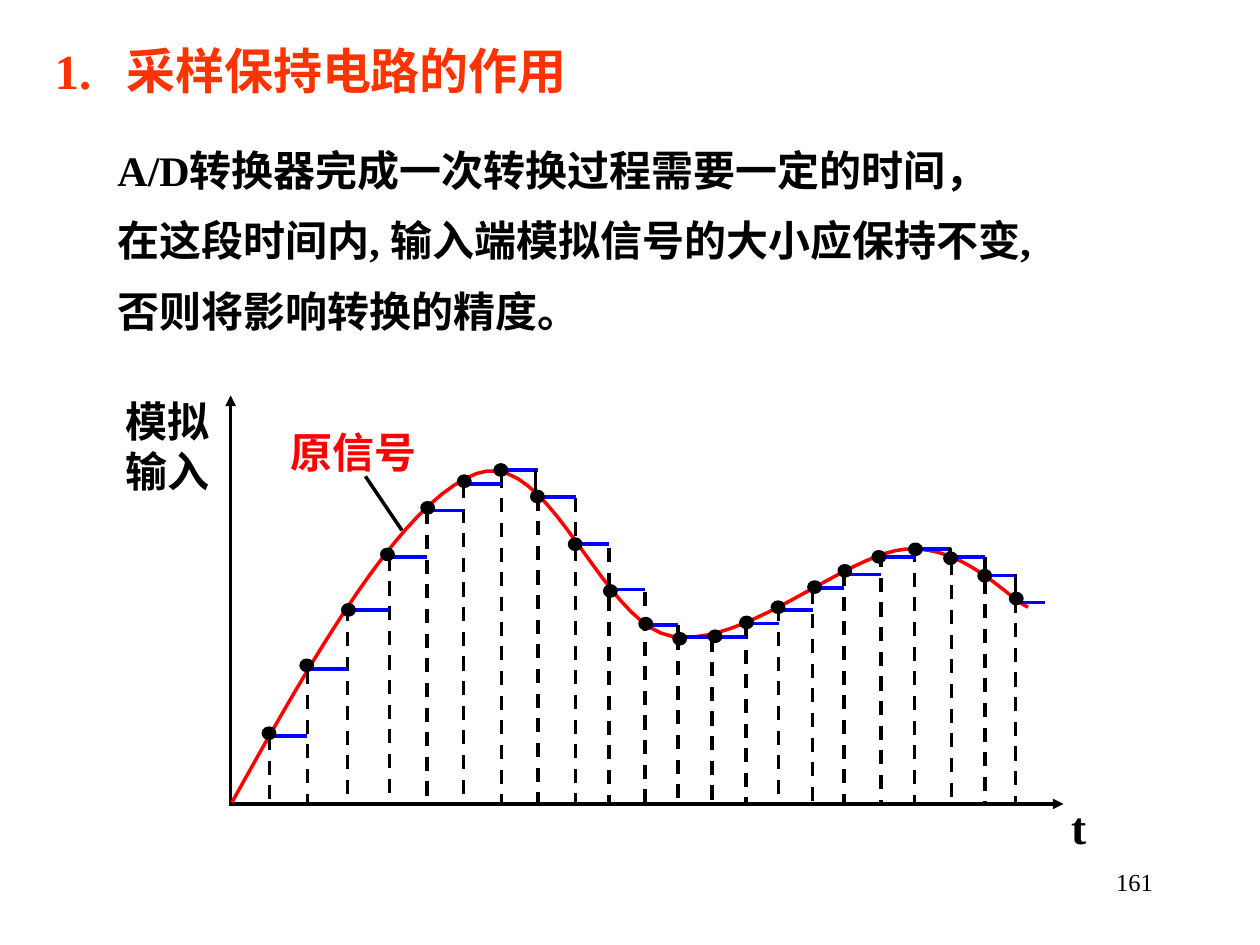
from pptx import Presentation
from pptx.dml.color import RGBColor
from pptx.enum.dml import MSO_LINE
from pptx.enum.shapes import MSO_CONNECTOR, MSO_SHAPE
from pptx.enum.text import MSO_ANCHOR, MSO_AUTO_SIZE, PP_ALIGN
from pptx.oxml.ns import qn
from pptx.util import Pt
from lxml import etree

STRAIGHT = MSO_CONNECTOR.STRAIGHT
ELLIPSE = MSO_SHAPE.OVAL
DASH = MSO_LINE.DASH
LEFT, RIGHT = PP_ALIGN.LEFT, PP_ALIGN.RIGHT
TOP = MSO_ANCHOR.TOP
NO_AUTOFIT = MSO_AUTO_SIZE.NONE

BLACK, RED, BLUE, ORANGE = "000000", "FF0000", "0000FF", "FF3300"

AXIS_X, AXIS_Y = 131.8, 459.4
DOT_WIDTH, DOT_HEIGHT = 6.5, 5.8
LAST_HOLD_END = 596.9
CURVE_STEPS = 20

# Signal curve: start point, then two control points and an end point per arc
CURVE_START = (132.5, 458.6)
CURVE_ARCS = [
    ((180.7, 372.2), (229.7, 286.6), (272.2, 270.7)),
    ((313.9, 254.9), (343.4, 356.4), (383.8, 363.6)),
    ((424.8, 370.8), (483.1, 316.8), (517, 313.9)),
    ((550.8, 311), (576, 342), (587.5, 347)),
]

# Samples: x of drop line, top of drop line, held level, dot centre x and y
SAMPLES = [
    (154.1, 420.5, 420.5, 153.7, 419), (175.7, 383, 382.3, 175.3, 380.2),
    (198.7, 347, 348.5, 199.1, 348.5), (222.5, 318.2, 318.2, 221.4, 316.8),
    (244.1, 291.6, 291.6, 244.4, 290.2), (265, 276.5, 276.5, 265.3, 275),
    (286.6, 270.7, 268.6, 286.2, 268.6), (307.4, 283.7, 284, 307.1, 283.7),
    (329, 284.4, 311, 328.7, 311), (348.1, 313.2, 337, 348.8, 337.7),
    (368.6, 338.4, 357.1, 369, 356.4), (387.4, 363.6, 364, 388.4, 365),
    (406.8, 364.3, 364, 408.6, 363.6), (426.2, 357.1, 356.4, 426.6, 355.7),
    (445, 347, 348.5, 444.6, 347), (464.4, 337, 335.9, 465.5, 335.5),
    (482.4, 326.9, 328.3, 482.8, 326.2), (503.3, 316.1, 318.2, 502.2, 318.2),
    (522.7, 313.2, 313.6, 523.1, 313.9), (543.6, 320.4, 318.2, 543.2, 319),
    (563, 331.2, 329, 562.7, 329), (580.3, 342, 344.2, 580.7, 342),
]

# Solid steps between held levels: x, top, bottom
STEPS = [(306, 268.6, 284.4), (387.4, 357.1, 365.8), (543, 313.2, 322.6),
         (563, 318.2, 329), (580.3, 328.3, 342.7)]


def color(value):
    return RGBColor.from_string(value)


def bezier(start, control_1, control_2, end, t):
    u = 1 - t
    return tuple(u**3 * a + 3 * u * u * t * b + 3 * u * t * t * c + t**3 * d
                 for a, b, c, d in zip(start, control_1, control_2, end))


class SlideBuilder:
    font = "Times New Roman"
    line_width = 2

    def __init__(self, slide):
        self.slide = slide
        self.shapes = slide.shapes

    def fill_text(self, shape, lines, size, text_color, bold=True, align=LEFT,
                  spacing=None, inset=(0, 0)):
        frame = shape.text_frame
        horizontal, vertical = map(Pt, inset)
        frame_format = {
            "auto_size": NO_AUTOFIT, "word_wrap": True, "vertical_anchor": TOP,
            "margin_left": horizontal, "margin_right": horizontal,
            "margin_top": vertical, "margin_bottom": vertical,
        }
        for name, value in frame_format.items():
            setattr(frame, name, value)
        frame.text = "\n".join(lines)
        for paragraph in frame.paragraphs:
            paragraph.alignment = align
            paragraph.space_before = Pt(0)
            if spacing:
                paragraph.line_spacing = spacing
            for run in paragraph.runs:
                font_format = {"name": self.font, "size": Pt(size), "bold": bold}
                for name, value in font_format.items():
                    setattr(run.font, name, value)
                run.font.color.rgb = color(text_color)

    def title(self, text, box, size, text_color, hanging, **text_format):
        shape = self.shapes.title
        for name, value in zip(("left", "top", "width", "height"), box):
            setattr(shape, name, Pt(value))
        self.fill_text(shape, [text], size, text_color, **text_format)
        # Hanging indent with a tab stop after the number
        properties = shape.text_frame.paragraphs[0]._p.get_or_add_pPr()
        properties.set("marL", str(Pt(hanging)))
        properties.set("indent", str(-Pt(hanging)))
        tabs = etree.SubElement(properties, qn("a:tabLst"))
        etree.SubElement(tabs, qn("a:tab"), pos=str(Pt(hanging)), algn="l")

    def text(self, lines, box, size, text_color=BLACK, **text_format):
        shape = self.shapes.add_textbox(*map(Pt, box))
        self.fill_text(shape, lines, size, text_color, **text_format)

    def line(self, x1, y1, x2, y2, line_color=BLACK, dash=None, arrow=False):
        connector = self.shapes.add_connector(STRAIGHT, *map(Pt, (x1, y1, x2, y2)))
        connector.line.width = Pt(self.line_width)
        connector.line.color.rgb = color(line_color)
        if dash:
            connector.line.dash_style = dash
        if arrow:
            etree.SubElement(connector.line._get_or_add_ln(), qn("a:tailEnd"),
                             type="triangle")
        etree.SubElement(connector._element.spPr, qn("a:effectLst"))

    def dot(self, x, y):
        shape = self.shapes.add_shape(ELLIPSE, Pt(x - DOT_WIDTH / 2), Pt(y - DOT_HEIGHT / 2),
                                      Pt(DOT_WIDTH), Pt(DOT_HEIGHT))
        shape.shadow.inherit = False
        shape.fill.solid()
        shape.fill.fore_color.rgb = color(BLACK)
        shape.line.color.rgb = color(BLACK)
        shape.line.width = Pt(self.line_width)

    def curve(self, start, arcs, line_color):
        points = []
        first = start
        for arc in arcs:
            points += [bezier(first, *arc, step / CURVE_STEPS)
                       for step in range(1, CURVE_STEPS + 1)]
            first = arc[-1]
        builder = self.shapes.build_freeform(*map(Pt, start))
        builder.add_line_segments([tuple(map(Pt, point)) for point in points], close=False)
        shape = builder.convert_to_shape()
        shape.shadow.inherit = False
        shape.fill.background()
        shape.line.color.rgb = color(line_color)
        shape.line.width = Pt(self.line_width)


def main():
    presentation = Presentation()
    presentation.slide_width, presentation.slide_height = Pt(720), Pt(540)
    builder = SlideBuilder(presentation.slides.add_slide(presentation.slide_layouts[5]))

    # Heading and explanation
    builder.title("1.\t采样保持电路的作用", (24, 6, 636, 56), 28, ORANGE, hanging=41,
                  spacing=1.4, inset=(7.2, 3.6))
    builder.text(["A/D转换器完成一次转换过程需要一定的时间，",
                  "在这段时间内, 输入端模拟信号的大小应保持不变,",
                  "否则将影响转换的精度。"],
                 (60, 67.5, 600, 128), 24, spacing=1.4, inset=(7.2, 3.6))

    # Axes and signal
    builder.line(131, AXIS_Y, 607.7, AXIS_Y, arrow=True)
    builder.line(AXIS_X, AXIS_Y, AXIS_X, 226, arrow=True)
    builder.curve(CURVE_START, CURVE_ARCS, RED)

    # Drop lines, then held levels reaching to the next sample
    for x, top, *_ in SAMPLES:
        builder.line(x, top, x, AXIS_Y, dash=DASH)
    hold_ends = [sample[0] for sample in SAMPLES[1:]] + [LAST_HOLD_END]
    for (x, _, level, *_), end in zip(SAMPLES, hold_ends):
        builder.line(x, level, end, level, BLUE)
    for x, top, bottom in STEPS:
        builder.line(x, top, x, bottom)

    # Labels with the leader to the signal
    builder.text(["t"], (612, 456.5, 24, 24), 26)
    builder.text(["模拟", "输入"], (72, 226, 53, 54), 24)
    builder.line(208.8, 272.2, 229.7, 303.1)
    builder.text(["原信号"], (166.3, 244, 81.4, 30), 24, RED)

    # Sample points
    for *_, x, y in SAMPLES:
        builder.dot(x, y)

    # Page number
    builder.text(["161"], (516, 492, 150, 36), 14, bold=False, align=RIGHT, inset=(7.2, 3.6))

    presentation.save("out.pptx")


if __name__ == "__main__":
    main()
